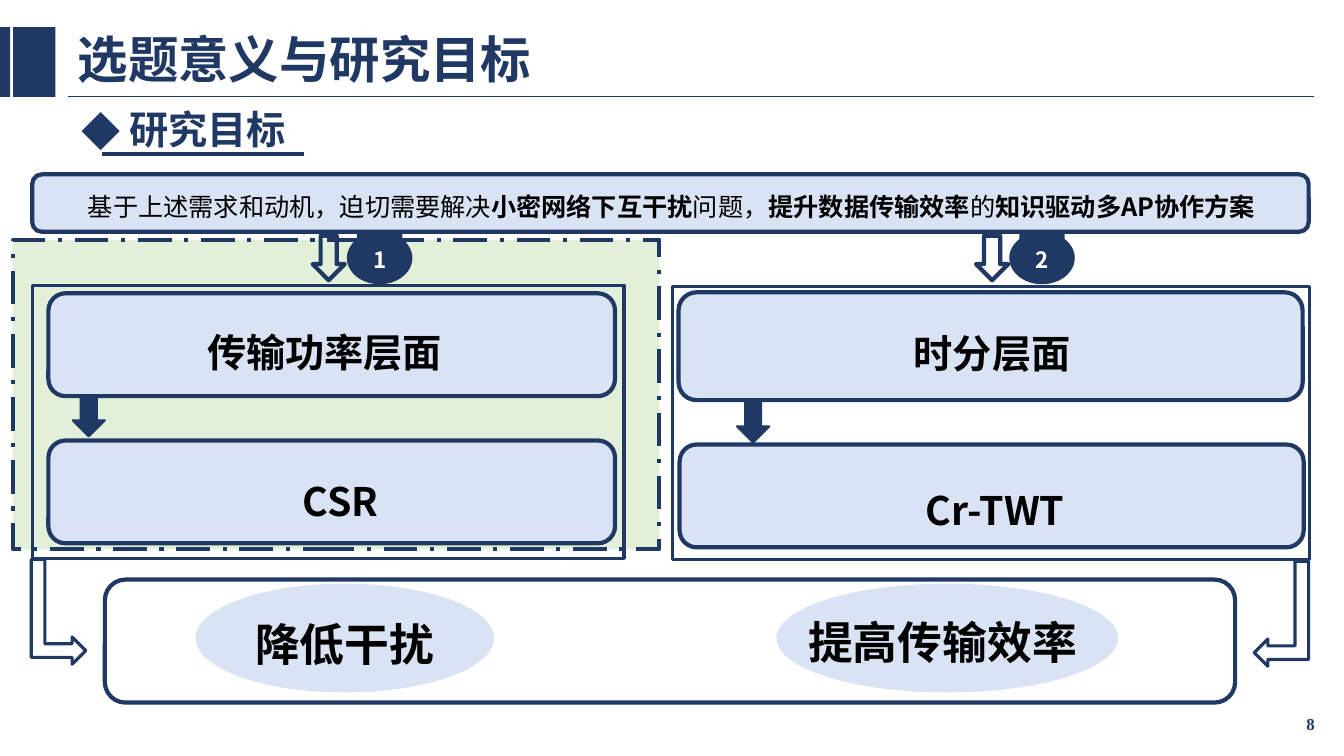
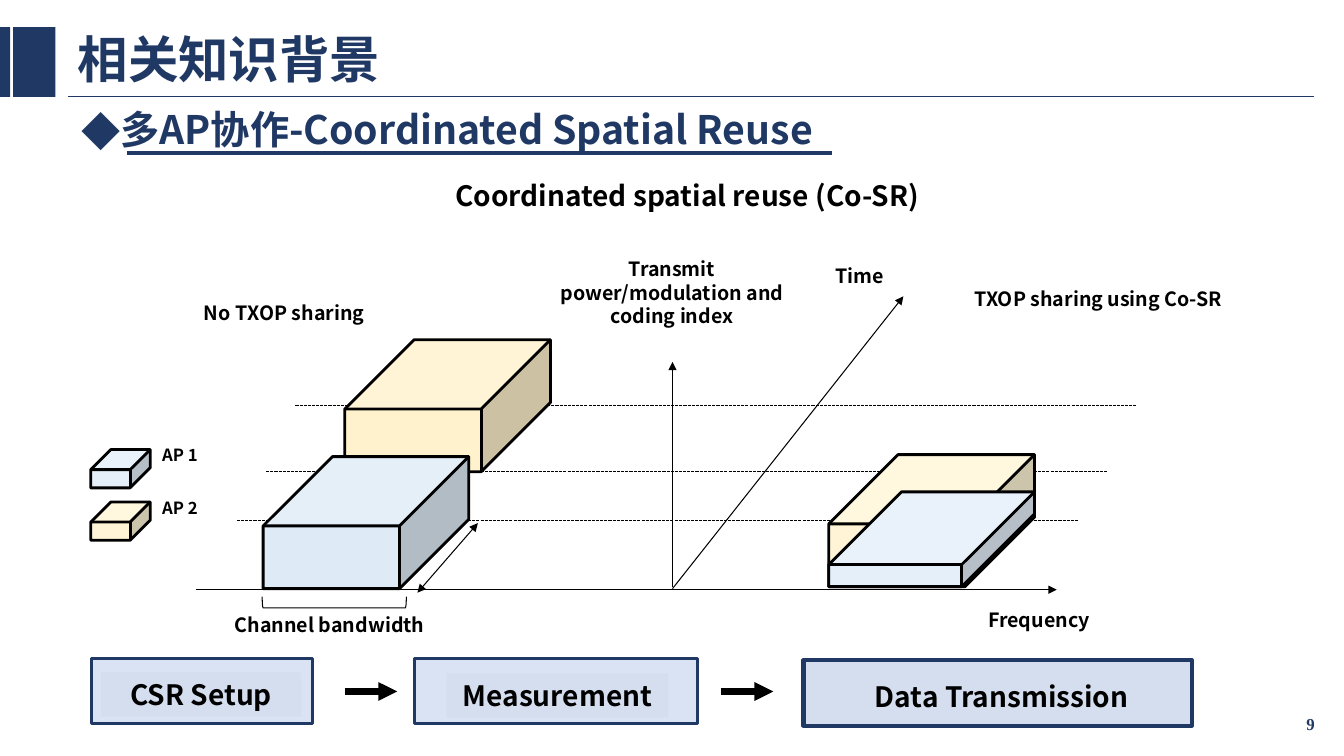
from lxml.etree import SubElement
from pptx import Presentation
from pptx.dml.color import RGBColor
from pptx.enum.dml import MSO_LINE
from pptx.enum.shapes import MSO_CONNECTOR, MSO_SHAPE
from pptx.enum.text import MSO_ANCHOR, MSO_AUTO_SIZE, PP_ALIGN
from pptx.oxml.ns import qn
from pptx.util import Inches, Pt


class Theme:
    navy = "203864"
    pale = "DAE3F3"
    haze = "D5DEEF"
    green = "E2F0D9"
    cream = "FFF5D6"
    sand = "FFF2CC"
    ice = "E4EFF9"
    sky = "DEEBF7"
    black = "000000"
    white = "FFFFFF"
    sans = "Noto Sans CJK SC"
    serif = "Times New Roman"
    title = 36
    goal = 32
    head = 28
    step = 20
    lead = 18
    badge = 16
    label = 14
    small = 12


def place(slide, kind, box, fill=None, line=None, width=3, dash=None, turn=0, adj=None):
    """Add a preset shape, or a text box when kind is None."""
    spot = [Inches(n) for n in box]
    if kind is None:
        return slide.shapes.add_textbox(*spot)
    item = slide.shapes.add_shape(kind, *spot)
    item.shadow.inherit = False
    item.rotation = turn
    if adj is not None:
        item.adjustments[0] = adj
    if fill:
        item.fill.solid()
        item.fill.fore_color.rgb = RGBColor.from_string(fill)
    else:
        item.fill.background()
    if line:
        item.line.color.rgb = RGBColor.from_string(line)
        item.line.width = Pt(width)
        if dash:
            item.line.dash_style = dash
    else:
        item.line.fill.background()
    return item


def write(item, words, size=Theme.label, color=Theme.black, font=Theme.sans, bold=True,
          align=PP_ALIGN.CENTER, space=1.0, anchor=MSO_ANCHOR.TOP, bullet=None):
    """Fill a shape with one paragraph; words is a string or (string, bold) pairs."""
    frame = item.text_frame
    frame.word_wrap = True
    frame.auto_size = MSO_AUTO_SIZE.NONE
    frame.vertical_anchor = anchor
    para = frame.paragraphs[0]
    para.alignment = align
    para.line_spacing = space
    if bullet:
        props = para._p.get_or_add_pPr()
        props.set("marL", str(Inches(0.38)))
        props.set("indent", str(-Inches(0.38)))
        tint = SubElement(props, qn("a:buClr"))
        SubElement(tint, qn("a:srgbClr"), val=color)
        SubElement(props, qn("a:buFont"), typeface=font)
        SubElement(props, qn("a:buChar"), char=bullet)
    for part, heavy in [(words, bold)] if isinstance(words, str) else words:
        run = para.add_run()
        run.text = part
        run.font.size = Pt(size)
        run.font.bold = heavy
        run.font.name = font
        run.font.color.rgb = RGBColor.from_string(color)
        SubElement(run.font._element, qn("a:ea"), typeface=font)


deck = Presentation()
deck.slide_width = Inches(13.33)
deck.slide_height = Inches(7.5)

# Shared layout: title position only, no footer placeholders
layout = deck.slide_layouts[5]
for holder in list(layout.placeholders):
    if holder.placeholder_format.idx:
        holder.element.getparent().remove(holder.element)
    else:
        holder.left, holder.top = Inches(0.67), Inches(0.22)
        holder.width, holder.height = Inches(7.26), Inches(0.8)

goals = deck.slides.add_slide(layout)
reuse = deck.slides.add_slide(layout)

# Bands live on the layout
bands = [place(goals, MSO_SHAPE.RECTANGLE, (x, 0.27, w, 0.69), Theme.navy)
         for x, w in ((0, 0.1), (0.13, 0.42))]
for band in bands:
    layout.shapes.element.append(band.element)

# Title, heading and page number of each slide
for slide, title, head, page in (
    (goals, "选题意义与研究目标", " 研究目标", "8"),
    (reuse, "相关知识背景", "多AP协作-Coordinated Spatial Reuse", "9"),
):
    write(slide.shapes.title, title, size=Theme.title, color=Theme.navy,
          align=PP_ALIGN.LEFT, space=0.9, anchor=MSO_ANCHOR.MIDDLE)
    write(place(slide, None, (0.71, 1, 10.08, 0.52)), head, size=Theme.head,
          color=Theme.navy, align=PP_ALIGN.LEFT, bullet="◆")
    write(place(slide, None, (10.14, 6.98, 3, 0.4)), page, size=Theme.small,
          color=Theme.navy, font=Theme.serif, align=PP_ALIGN.RIGHT,
          anchor=MSO_ANCHOR.MIDDLE)

# Lines: slide, ends, colour, width, dash, arrowheads
rule = (0.67, 0.96, 13.03, 0.96)
tail = ("tailEnd",)
both = ("headEnd", "tailEnd")
lines = [
    (goals, rule, Theme.navy, 1, None, ()),
    (reuse, rule, Theme.navy, 1, None, ()),
    (goals, (1.01, 1.53, 3.02, 1.53), Theme.navy, 3, None, ()),
    (reuse, (1.26, 1.52, 8.25, 1.52), Theme.navy, 3, None, ()),
    (reuse, (6.67, 5.84, 8.96, 2.94), Theme.black, 0.75, None, tail),
    (reuse, (1.94, 5.85, 10.48, 5.85), Theme.black, 0.75, None, tail),
    (reuse, (6.67, 5.82, 6.67, 3.59), Theme.black, 0.75, None, tail),
    (reuse, (4.14, 5.88, 4.74, 5.19), Theme.black, 0.75, None, both),
]
for x, y in ((2.93, 4.02), (2.64, 4.68), (2.35, 5.16)):
    lines.append((reuse, (x, y, x + 8.34, y), Theme.black, 0.75, MSO_LINE.SQUARE_DOT, ()))
for x in (3.42, 7.15):
    lines.append((reuse, (x, 6.86, x + 0.52, 6.86), Theme.black, 4.5, None, tail))

for slide, ends, color, width, dash, tips in lines:
    link = slide.shapes.add_connector(MSO_CONNECTOR.STRAIGHT, *[Inches(n) for n in ends])
    link.line.color.rgb = RGBColor.from_string(color)
    link.line.width = Pt(width)
    if dash:
        link.line.dash_style = dash
    props = link.element.spPr
    for tip in tips:
        SubElement(props.find(qn("a:ln")), qn("a:" + tip), type="triangle")
    SubElement(props, qn("a:effectLst"))

# Slide 8: need, two levels, results
place(goals, MSO_SHAPE.RECTANGLE, (0.13, 2.38, 6.41, 3.07), Theme.green, Theme.navy,
      dash=MSO_LINE.LONG_DASH_DOT)
place(goals, MSO_SHAPE.ROUNDED_RECTANGLE, (0.32, 1.73, 12.66, 0.57), Theme.pale, Theme.navy)
write(place(goals, None, (0.69, 1.76, 11.94, 0.46)), [
    ("基于上述需求和动机，迫切需要解决", False),
    ("小密网络下互干扰", True),
    ("问题，", False),
    ("提升数据传输效率", True),
    ("的", False),
    ("知识驱动多AP协作方案", True),
], size=Theme.lead, space=1.3)

for frame, arrow, drop, cards in (
    ((0.32, 2.83, 5.87, 2.71), 3.1, (0.72, 3.92), (
        ((0.48, 2.91, 5.62, 1.02), (0.69, 3.07), "传输功率层面"),
        ((0.48, 4.37, 5.62, 1.02), (0.85, 4.55), "CSR"))),
    ((6.67, 2.84, 6.32, 2.71), 9.68, (7.31, 3.98), (
        ((6.73, 2.9, 6.19, 1.07), (7.31, 3.08), "时分层面"),
        ((6.74, 4.41, 6.19, 1.02), (7.34, 4.64), "Cr-TWT"))),
):
    place(goals, MSO_SHAPE.DOWN_ARROW, (arrow, 2.34, 0.32, 0.44), line=Theme.navy)
    place(goals, MSO_SHAPE.RECTANGLE, frame, line=Theme.navy, width=2.25)
    for box, spot, words in cards:
        place(goals, MSO_SHAPE.ROUNDED_RECTANGLE, box, Theme.pale, Theme.navy)
        write(place(goals, None, (*spot, 5.06, 0.65)), words, size=Theme.head, space=1.3)
    place(goals, MSO_SHAPE.DOWN_ARROW, (*drop, 0.32, 0.41), Theme.navy, Theme.navy, 1.5)

place(goals, MSO_SHAPE.BENT_UP_ARROW, (0.06, 5.8, 1.04, 0.54), line=Theme.navy,
      width=2.25, turn=90)
bend = place(goals, MSO_SHAPE.BENT_UP_ARROW, (12.19, 5.82, 1.04, 0.54), line=Theme.navy,
             width=2.25, turn=270)
bend.element.spPr.find(qn("a:xfrm")).set("flipH", "1")

for x, width, spot, words in (
    (1.94, 2.96, (1.27, 5.91), "降低干扰"),
    (7.7, 3.39, (7.2, 5.89), "提高传输效率"),
):
    place(goals, MSO_SHAPE.OVAL, (x, 5.79, width, 1.08), Theme.pale)
    write(place(goals, None, (*spot, 4.3, 0.73)), words, size=Theme.goal, space=1.3)
place(goals, MSO_SHAPE.ROUNDED_RECTANGLE, (1.04, 5.75, 11.21, 1.22), line=Theme.navy)

for x, digit in ((3.44, "1"), (10.01, "2")):
    place(goals, MSO_SHAPE.OVAL, (x, 2.3, 0.65, 0.52), Theme.navy)
    write(place(goals, MSO_SHAPE.RECTANGLE, (x + 0.1, 2.31, 0.45, 0.42), Theme.navy),
          digit, size=Theme.badge, color=Theme.white, space=1.3)

# Slide 9: cubes, labels, steps
for box, depth, fill in (
    ((8.22, 4.51, 2.04, 1.31), 0.525, Theme.cream),
    ((8.22, 4.88, 2.04, 0.94), 0.767, Theme.ice),
    ((3.42, 3.37, 2.04, 1.31), 0.525, Theme.sand),
    ((2.61, 4.53, 2.04, 1.31), 0.525, Theme.sky),
    ((0.9, 4.46, 0.59, 0.38), 0.525, Theme.ice),
    ((0.9, 4.98, 0.59, 0.38), 0.525, Theme.cream),
):
    place(reuse, MSO_SHAPE.CUBE, box, fill, Theme.black, 2, adj=depth)
place(reuse, MSO_SHAPE.RIGHT_BRACKET, (3.26, 5.26, 0.11, 1.43), line=Theme.black,
      width=0.75, turn=90)

for box, words, size in (
    ((1.81, 1.72, 10.01, 0.44), "Coordinated spatial reuse (Co-SR)", Theme.step),
    ((1.67, 2.94, 2.3, 0.34), "No TXOP sharing", Theme.label),
    ((9.35, 2.8, 3.09, 0.34), "TXOP sharing using Co-SR", Theme.label),
    ((8.88, 5.98, 2.85, 0.34), "Frequency", Theme.label),
    ((5.32, 2.5, 2.69, 0.81), "Transmit power/modulation and coding index", Theme.label),
    ((1.94, 6.03, 2.66, 0.34), "Channel bandwidth", Theme.label),
    ((7.1, 2.57, 2.85, 0.34), "Time", Theme.label),
    ((1.34, 4.36, 0.89, 0.3), "AP 1", Theme.small),
    ((1.34, 4.89, 0.89, 0.3), "AP 2", Theme.small),
):
    write(place(reuse, None, box), words, size=size)

for outer, inner, fill, width, words in (
    ((0.91, 6.53, 2.19, 0.65), (1, 6.67, 1.99, 0.44), Theme.pale, 2.25, "CSR Setup"),
    ((4.11, 6.53, 2.81, 0.65), (4.43, 6.68, 2.2, 0.44), Theme.pale, 2.25, "Measurement"),
    ((7.97, 6.55, 3.85, 0.65), (8.11, 6.69, 3.65, 0.44), Theme.haze, 3, "Data Transmission"),
):
    place(reuse, MSO_SHAPE.RECTANGLE, outer, fill, Theme.navy, width)
    write(place(reuse, MSO_SHAPE.RECTANGLE, inner, Theme.haze), words, size=Theme.step)

deck.save("out.pptx")
